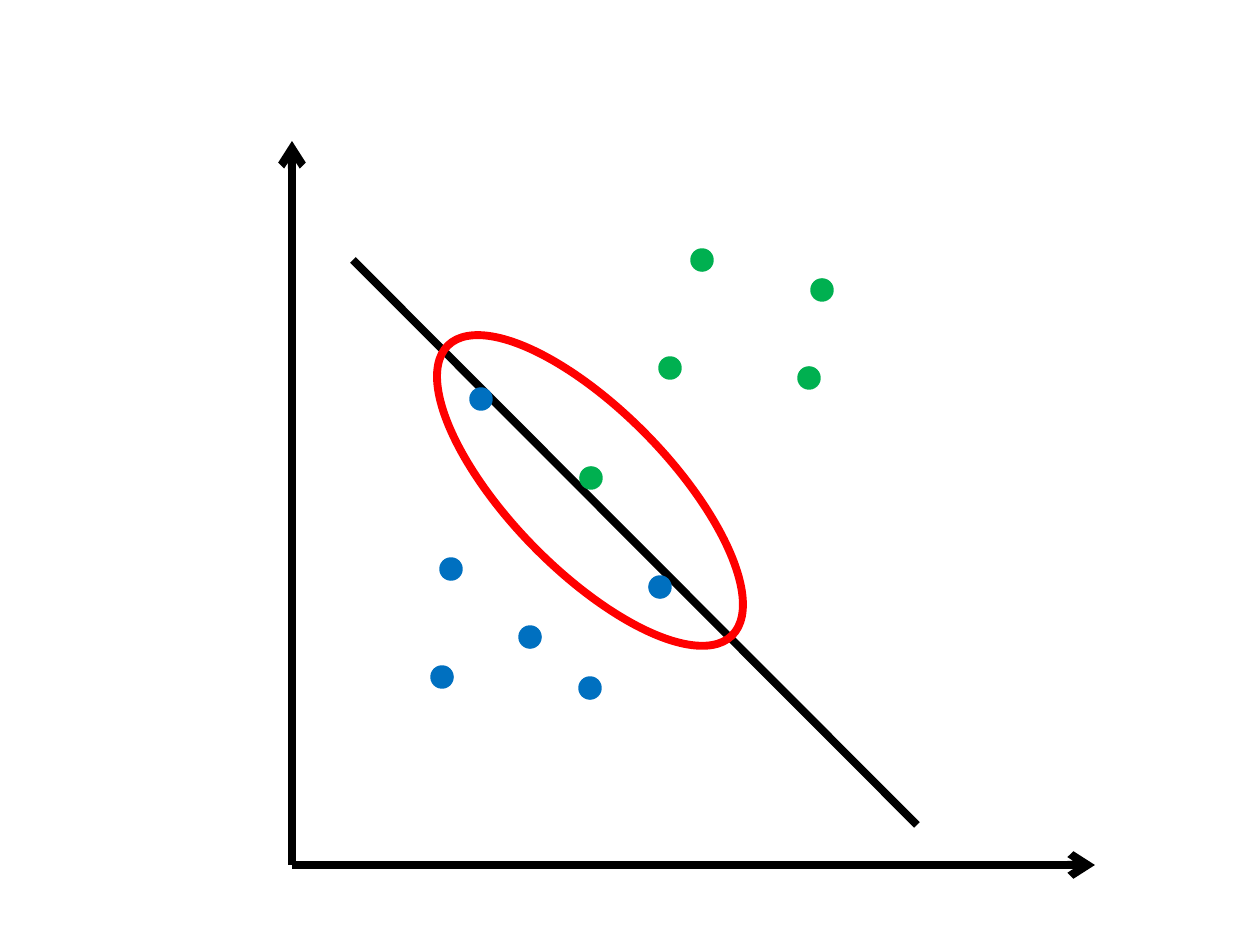
from typing import NamedTuple

from lxml.etree import SubElement
from pptx import Presentation
from pptx.dml.color import RGBColor
from pptx.enum.shapes import MSO_CONNECTOR as CONN, MSO_SHAPE as SHAPE
from pptx.oxml.ns import qn
from pptx.util import Emu, Pt

PX_PER_INCH = 126
DOT_SIZE = 20
THICK, THIN = 4.5, 2
BLACK, RED, GREEN, BLUE = "000000", "FF0000", "00B050", "0070C0"


class Dot(NamedTuple):
    x: int  # centre
    y: int
    color: str


class Line(NamedTuple):
    x1: int
    y1: int
    x2: int
    y2: int
    arrow: bool = False


BOUNDARY = Line(353, 260, 917, 825)
AXES = [
    Line(292, 865, 292, 141, arrow=True),
    Line(292, 865, 1095, 865, arrow=True),
]
DOTS = [
    # Points close to the boundary
    Dot(591, 478, GREEN), Dot(660, 587, BLUE), Dot(481, 399, BLUE),
    # Blue class
    Dot(442, 677, BLUE), Dot(451, 569, BLUE),
    Dot(590, 688, BLUE), Dot(530, 637, BLUE),
    # Green class
    Dot(702, 260, GREEN), Dot(809, 378, GREEN),
    Dot(670, 368, GREEN), Dot(822, 290, GREEN),
]


def px(n: int) -> Emu:
    return Emu(round(n * 914400 / PX_PER_INCH))


def rgb(color: str) -> RGBColor:
    return RGBColor.from_string(color)


def style_line(sp, color: str, width: float) -> None:
    sp.line.color.rgb = rgb(color)
    sp.line.width = Pt(width)


def add_line(shapes, line: Line) -> None:
    sp = shapes.add_connector(CONN.STRAIGHT, *map(px, line[:4]))
    style_line(sp, BLACK, THICK)
    if line.arrow:
        SubElement(sp.line._get_or_add_ln(), qn("a:tailEnd"), type="arrow")
    SubElement(sp._element.spPr, qn("a:effectLst"))


def add_ellipse(shapes, left: int, top: int, width: int, height: int):
    sp = shapes.add_shape(SHAPE.OVAL, *map(px, (left, top, width, height)))
    sp.shadow.inherit = False
    return sp


def add_dot(shapes, dot: Dot) -> None:
    half = DOT_SIZE // 2
    sp = add_ellipse(shapes, dot.x - half, dot.y - half, DOT_SIZE, DOT_SIZE)
    sp.fill.solid()
    sp.fill.fore_color.rgb = rgb(dot.color)
    style_line(sp, dot.color, THIN)


def add_highlight(shapes) -> None:
    sp = add_ellipse(shapes, 387, 411, 406, 159)
    sp.rotation = 45.6
    sp.fill.background()
    style_line(sp, RED, THICK)


def main() -> None:
    prs = Presentation()
    prs.slide_width, prs.slide_height = px(1260), px(945)
    shapes = prs.slides.add_slide(prs.slide_layouts[6]).shapes

    # Boundary lies behind the points
    add_line(shapes, BOUNDARY)
    for axis in AXES:
        add_line(shapes, axis)
    for dot in DOTS:
        add_dot(shapes, dot)
    # Ring around the points nearest the boundary
    add_highlight(shapes)

    prs.save("out.pptx")


if __name__ == "__main__":
    main()
